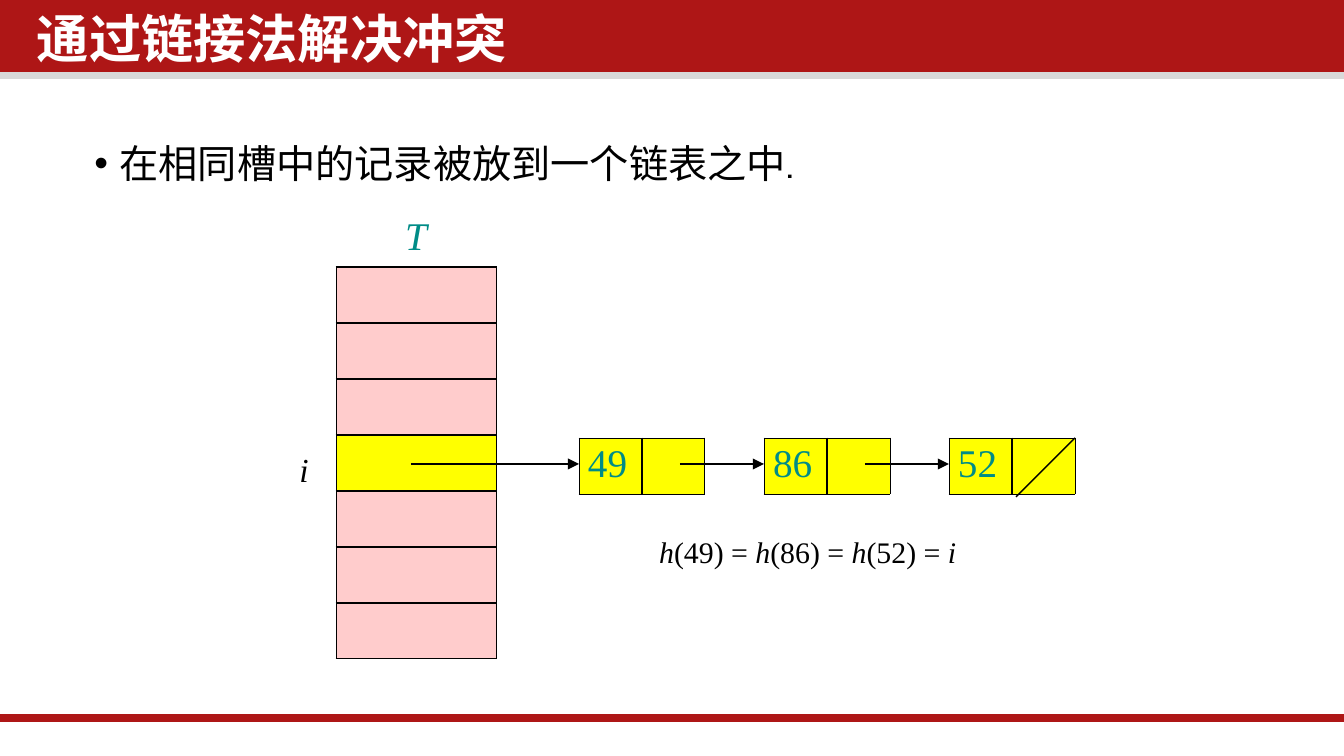
"""Builds a slide on resolving hash collisions by chaining."""
import dataclasses
import typing

import lxml.etree
import pptx
import pptx.dml.color
import pptx.enum.shapes
import pptx.enum.text
import pptx.oxml.ns
import pptx.util

EMU_PER_PX = 914400 / 134.4
SERIF = "Times New Roman"
CHINESE = "Noto Sans CJK SC"
RED, GREY, WHITE, BLACK = "AE1616", "D9D9D9", "FFFFFF", "000000"
PINK, YELLOW, TEAL = "FFCCCC", "FFFF00", "008C87"
SLOT_COUNT, USED_SLOT = 7, 3
TABLE_LEFT, TABLE_TOP, TABLE_WIDTH, ROW_HEIGHT = 336, 211, 160, 56
NODE_LEFT, NODE_TOP, NODE_STEP, CELL_WIDTH = 579, 438, 185, 63
POINTER_OFFSET, ARROW_Y = 101, 464
LEFT = pptx.enum.text.PP_ALIGN.LEFT
CENTER = pptx.enum.text.PP_ALIGN.CENTER


@dataclasses.dataclass
class Box:
    left: int
    top: int
    width: int
    height: int

    def emu(self) -> list[int]:
        return [px(value) for value in dataclasses.astuple(self)]


@dataclasses.dataclass
class Span:
    text: str
    size: int
    font: str = SERIF
    color: str = BLACK
    bold: bool = False
    italic: bool = False


@dataclasses.dataclass
class Line:
    start: tuple[int, int]
    end: tuple[int, int]
    color: str = BLACK
    weight: float = 0.75
    arrow: bool = False


@dataclasses.dataclass
class Cell:
    fill: str | None = None
    span: Span | None = None
    align: typing.Any = LEFT
    borders: tuple[float, float, float, float] = (0.5, 0.5, 0.5, 0.5)


def px(value: float) -> int:
    return round(value * EMU_PER_PX)


def rgb(color: str) -> pptx.dml.color.RGBColor:
    return pptx.dml.color.RGBColor.from_string(color)


def child(parent: typing.Any, tag: str, **attributes: str) -> typing.Any:
    return lxml.etree.SubElement(parent, pptx.oxml.ns.qn(tag), attributes)


def write(para: typing.Any, spans: list[Span], align: typing.Any = LEFT) -> None:
    para.alignment = align
    for span in spans:
        run = para.add_run()
        run.text = span.text
        run.font.size = pptx.util.Pt(span.size)
        run.font.name = span.font
        run.font.bold = span.bold
        run.font.italic = span.italic
        run.font.color.rgb = rgb(span.color)
        if span.font == CHINESE:
            child(run.font._element, "a:ea", typeface=span.font)


def fill_placeholder(holder: typing.Any, box: Box, span: Span) -> typing.Any:
    holder.left, holder.top, holder.width, holder.height = box.emu()
    frame = holder.text_frame
    frame.auto_size = pptx.enum.text.MSO_AUTO_SIZE.NONE
    frame.vertical_anchor = pptx.enum.text.MSO_ANCHOR.TOP
    para = frame.paragraphs[0]
    para.line_spacing = 0.9
    para.space_before = pptx.util.Pt(7.5)
    write(para, [span])
    return frame


def add_bar(page: typing.Any, box: Box, color: str) -> None:
    bar = page.shapes.add_shape(pptx.enum.shapes.MSO_SHAPE.RECTANGLE, *box.emu())
    bar.shadow.inherit = False
    bar.fill.solid()
    bar.fill.fore_color.rgb = rgb(color)
    bar.line.fill.background()


def add_line(page: typing.Any, line: Line) -> None:
    points = [px(value) for value in (*line.start, *line.end)]
    connector = page.shapes.add_connector(pptx.enum.shapes.MSO_CONNECTOR.STRAIGHT, *points)
    connector.line.color.rgb = rgb(line.color)
    connector.line.width = pptx.util.Pt(line.weight)
    if line.arrow:
        child(connector.line._get_or_add_ln(), "a:tailEnd", type="triangle")
    child(connector._element.spPr, "a:effectLst")


def add_text(page: typing.Any, box: Box, spans: list[Span], align: typing.Any = LEFT) -> None:
    frame = page.shapes.add_textbox(*box.emu()).text_frame
    frame.word_wrap = False
    write(frame.paragraphs[0], spans, align)


def style_cell(target: typing.Any, cell: Cell) -> None:
    target.margin_left = target.margin_right = px(9)
    target.margin_top = target.margin_bottom = px(5)
    properties = target._tc.get_or_add_tcPr()
    for side, weight in zip("LRTB", cell.borders):
        edge = child(properties, f"a:ln{side}", w=str(pptx.util.Pt(weight)))
        if weight:
            child(child(edge, "a:solidFill"), "a:srgbClr", val=BLACK)
        else:
            child(edge, "a:noFill")
    if cell.fill:
        target.fill.solid()
        target.fill.fore_color.rgb = rgb(cell.fill)
    else:
        target.fill.background()
    if cell.span:
        write(target.text_frame.paragraphs[0], [cell.span], cell.align)


def add_grid(page: typing.Any, box: Box, rows: list[list[Cell]]) -> None:
    table = page.shapes.add_table(len(rows), len(rows[0]), *box.emu()).table
    table.first_row = table.horz_banding = False
    for row_index, row in enumerate(rows):
        for column_index, cell in enumerate(row):
            style_cell(table.cell(row_index, column_index), cell)


def add_node(page: typing.Any, left: int, key: str) -> None:
    cells = [
        Cell(YELLOW, Span(key, 21, color=TEAL), borders=(0.5, 1, 0.5, 0.5)),
        Cell(YELLOW, borders=(1, 0.5, 0.5, 0.5)),
    ]
    add_grid(page, Box(left, NODE_TOP, 2 * CELL_WIDTH, ROW_HEIGHT), [cells])


def add_hash_table(page: typing.Any) -> None:
    heading = Cell(None, Span("T", 21, color=TEAL, italic=True), CENTER, (0, 0, 0, 1))
    rows = [[heading]]
    for slot in range(SLOT_COUNT):
        bottom = 0.5 if slot == SLOT_COUNT - 1 else 1
        color = YELLOW if slot == USED_SLOT else PINK
        rows.append([Cell(color, borders=(0.5, 0.5, 1, bottom))])
    add_grid(page, Box(TABLE_LEFT, TABLE_TOP, TABLE_WIDTH, ROW_HEIGHT * len(rows)), rows)


def add_chain(page: typing.Any, keys: list[str]) -> None:
    lefts = [NODE_LEFT + NODE_STEP * index for index in range(len(keys))]
    for left, key in zip(lefts, keys):
        add_node(page, left, key)
    end = lefts[-1] + 2 * CELL_WIDTH
    add_line(page, Line((end - 59, NODE_TOP + 59), (end, NODE_TOP)))
    starts = [411] + [left + POINTER_OFFSET for left in lefts[:-1]]
    for start, left in zip(starts, lefts):
        add_line(page, Line((start, ARROW_Y), (left, ARROW_Y), arrow=True))


def main() -> None:
    deck = pptx.Presentation()
    deck.slide_width, deck.slide_height = px(1344), px(756)
    page = deck.slides.add_slide(deck.slide_layouts[1])
    title, body = page.placeholders
    add_bar(page, Box(0, 67, 1344, 12), GREY)
    add_bar(page, Box(0, 0, 1344, 72), RED)
    add_line(page, Line((-2, 718), (1344, 718), RED, 4))
    heading = Span("通过链接法解决冲突", 28, CHINESE, WHITE, bold=True)
    frame = fill_placeholder(title, Box(28, 8, 1027, 79), heading)
    frame.margin_left = frame.margin_right = px(9)
    frame.margin_top = frame.margin_bottom = px(5)
    page.shapes._spTree.append(title._element)
    point = Span("在相同槽中的记录被放到一个链表之中.", 21, "Cabin")
    frame = fill_placeholder(body, Box(81, 138, 1159, 480), point)
    properties = frame.paragraphs[0]._p.get_or_add_pPr()
    properties.set("marL", str(px(25)))
    properties.set("indent", str(px(-25)))
    child(properties, "a:buFont", typeface="Arial")
    child(properties, "a:buChar", char="•")
    add_hash_table(page)
    add_chain(page, ["49", "86", "52"])
    add_text(page, Box(286, 442, 36, 54), [Span("i", 18, italic=True)], CENTER)
    parts = ["h", "(49) = ", "h", "(86) = ", "h", "(52) = ", "i"]
    formula = [Span(part, 16, italic=part.isalpha()) for part in parts]
    add_text(page, Box(646, 527, 325, 50), formula)
    deck.save("out.pptx")


if __name__ == "__main__":
    main()
